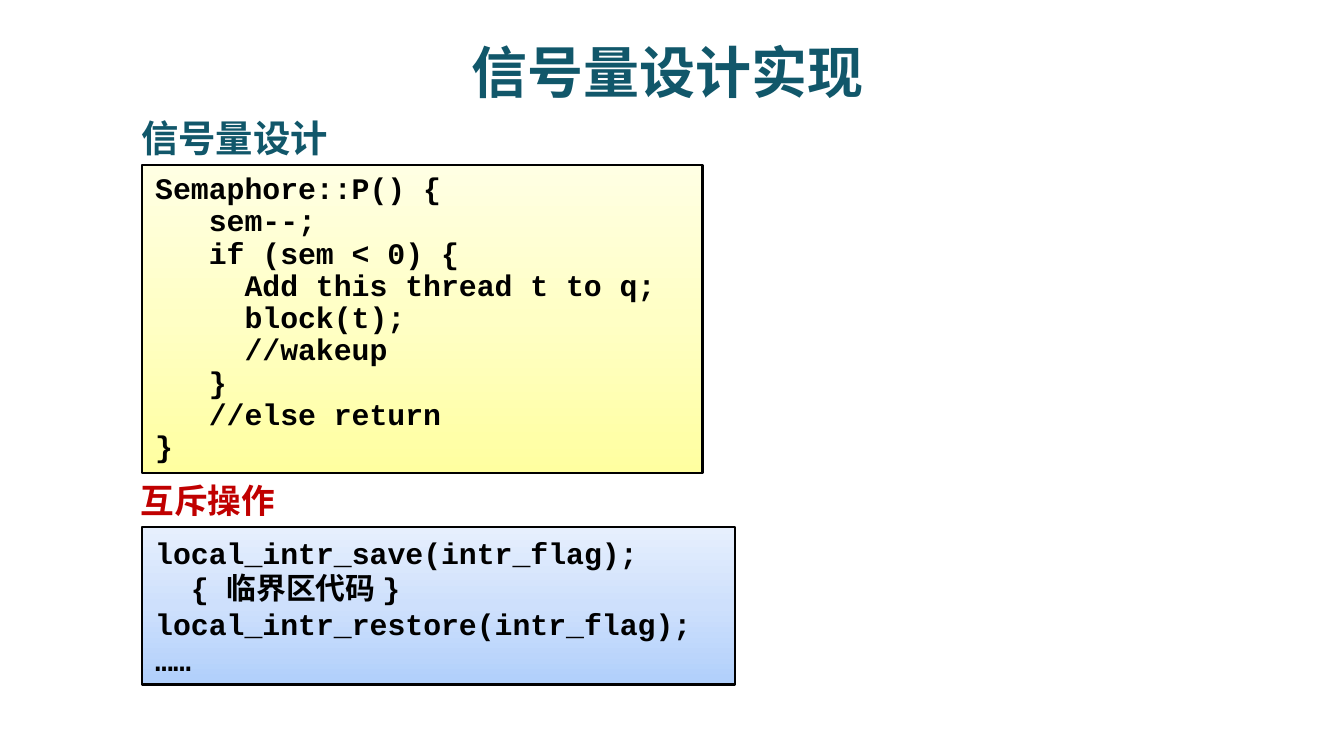
"""Build the semaphore design slide."""
from copy import deepcopy

from pptx import Presentation
from pptx.dml.color import RGBColor as RGB
from pptx.enum.shapes import MSO_SHAPE as Shape
from pptx.enum.text import MSO_ANCHOR as Anchor, PP_ALIGN as Align
from pptx.oxml.ns import qn
from pptx.util import Pt

SCALE = 914400 / 134.4
HEX = {
    "teal": "11576A",
    "red": "C00000",
    "black": "000000",
    "yellow": ["FFFFA0", "FFFFC5", "FFFFE3"],
    "blue": ["B0CFFB", "CEE0FC", "E6EFFD"],
}
SANS = "Noto Sans CJK SC"
MONO = "Courier New"


def px(*vals):
    return [round(v * SCALE) for v in vals]


def write(frame, lines, size, face, east, tint, align, gap=None):
    frame.word_wrap = True
    for i, line in enumerate(lines):
        para = frame.add_paragraph() if i else frame.paragraphs[0]
        para.alignment = align
        if gap:
            para.line_spacing = gap
        run = para.add_run()
        run.text = line
        font = run.font
        font.name, font.size, font.bold = face, Pt(size), True
        font.color.rgb = RGB.from_string(HEX[tint])
        latin = font._element.find(qn("a:latin"))
        ea = latin.makeelement(qn("a:ea"), {"typeface": east})
        latin.addnext(ea)


deck = Presentation()
deck.slide_width, deck.slide_height = px(1344, 756)
slide = deck.slides.add_slide(deck.slide_layouts[6])

labels = [
    ("信号量设计实现", (63, 34, 1210, 75), 30, SANS, "teal", Align.CENTER, Anchor.MIDDLE),
    ("信号量设计", (128, 109, 215, 59), 20, "Noto Sans CJK JP", "teal", Align.LEFT, Anchor.TOP),
    ("互斥操作", (89, 473, 238, 54), 18, SANS, "red", Align.CENTER, Anchor.TOP),
]
for text, area, size, face, tint, align, anchor in labels:
    frame = slide.shapes.add_textbox(*px(*area)).text_frame
    frame.vertical_anchor = anchor
    write(frame, [text], size, face, face, tint, align)

design = [
    "Semaphore::P() {",
    "   sem--;",
    "   if (sem < 0) {",
    "     Add this thread t to q;",
    "     block(t);",
    "     //wakeup",
    "   }",
    "   //else return",
    "}",
]
mutex = [
    "local_intr_save(intr_flag);",
    "  { 临界区代码 } local_intr_restore(intr_flag);",
    "……",
]
panels = [
    (design, (142, 165, 561, 308), "yellow", 0.9),
    (mutex, (142, 527, 593, 158), "blue", None),
]
for lines, area, tint, gap in panels:
    box = slide.shapes.add_shape(Shape.RECTANGLE, *px(*area))
    box.shadow.inherit = False
    box.line.color.rgb = RGB.from_string(HEX["black"])
    box.line.width = Pt(1.5)
    fill = box.fill
    fill.gradient()
    fill.gradient_angle = 90
    first = next(box._element.iter(qn("a:gs")))
    first.addnext(deepcopy(first))
    for i, stop in enumerate(fill.gradient_stops):
        stop.position = i / 2
        stop.color.rgb = RGB.from_string(HEX[tint][i])
    frame = box.text_frame
    frame.vertical_anchor = Anchor.MIDDLE
    write(frame, lines, 16, MONO, SANS, "black", Align.LEFT, gap)

deck.save("out.pptx")
